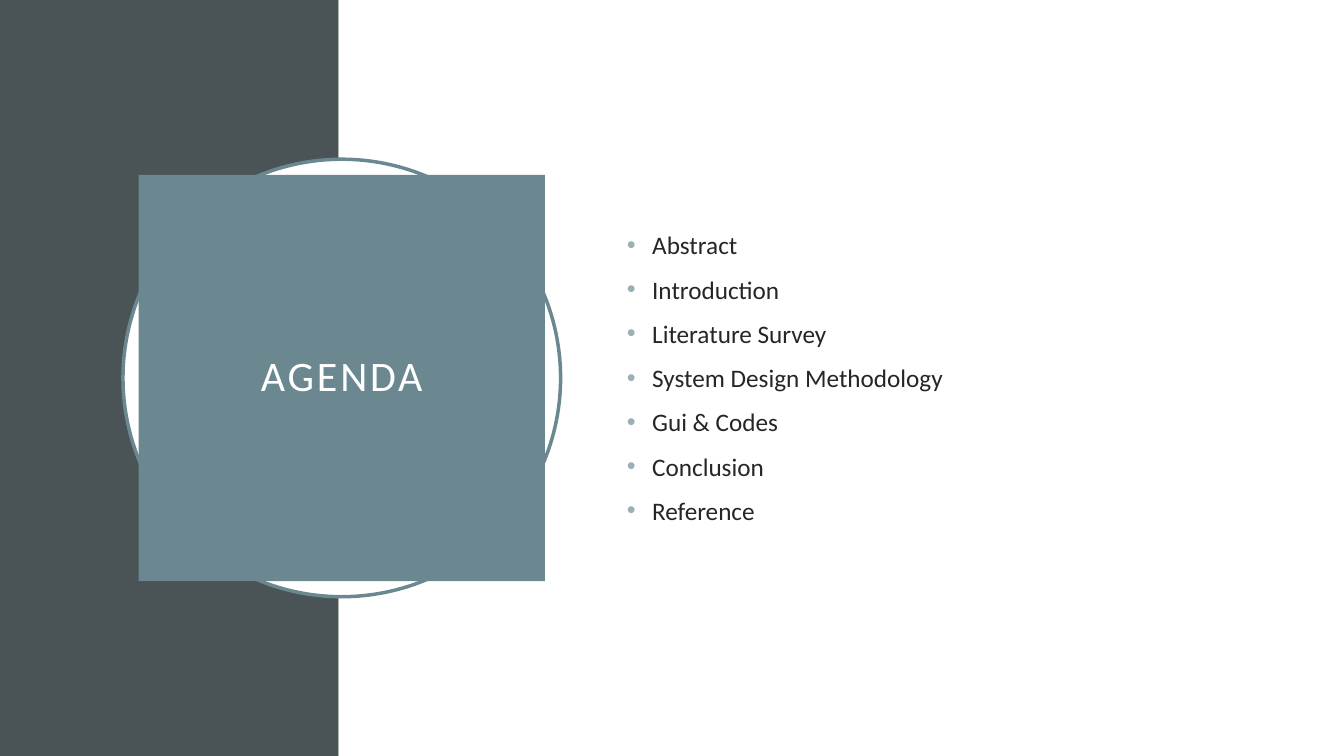
from lxml.etree import SubElement
from pptx import Presentation
from pptx.dml.color import RGBColor
from pptx.enum.shapes import MSO_SHAPE as Shape
from pptx.enum.text import MSO_ANCHOR as Anchor, PP_ALIGN as Align
from pptx.oxml.ns import qn
from pptx.util import Inches, Pt

# Content
TITLE = "AGENDA"
TOPICS = [
    "Abstract",
    "Introduction",
    "Literature Survey",
    "System Design Methodology",
    "Gui & Codes",
    "Conclusion",
    "Reference",
]

THEME = {
    "font": "Calibri",
    "band": "4A5356",
    "accent": "6B8891",
    "bullet": "9BAFB5",
    "ink": "262626",
    "white": "FFFFFF",
    "title_pt": 30,
    "body_pt": 18,
}

# Layout in inches
SLIDE_W, SLIDE_H = 13.33, 7.5
BAND_W = 3.36
CENTER_X, CENTER_Y = 3.39, SLIDE_H / 2
RING, SQUARE = 4.34, 4.03
LIST_BOX = (6.12, 1.53, 5.82, 4.43)
INDENT = 0.25


def rgb(name):
    return RGBColor.from_string(THEME[name])


def add_block(slide, kind, box, fill, line=None):
    sp = slide.shapes.add_shape(kind, *map(Inches, box))
    sp.shadow.inherit = False
    sp.fill.solid()
    sp.fill.fore_color.rgb = rgb(fill)
    if line:
        sp.line.color.rgb = rgb(line)
        sp.line.width = Pt(2.5)
    else:
        sp.line.fill.background()
    return sp


def centered(size):
    return CENTER_X - size / 2, CENTER_Y - size / 2, size, size


def add_run(p, text, size, color):
    r = p.add_run()
    r.text = text
    font = {"name": THEME["font"], "size": Pt(THEME[size])}
    for key, value in font.items():
        setattr(r.font, key, value)
    r.font.color.rgb = rgb(color)
    return r


def add_bullet(p):
    pPr = p._p.get_or_add_pPr()
    pPr.set("marL", str(Inches(INDENT)))
    pPr.set("indent", str(-Inches(INDENT)))
    color = SubElement(pPr, qn("a:buClr"))
    SubElement(color, qn("a:srgbClr"), val=THEME["bullet"])
    SubElement(pPr, qn("a:buFont"), typeface="Arial")
    SubElement(pPr, qn("a:buChar"), char="•")


def main():
    prs = Presentation()
    prs.slide_width, prs.slide_height = Inches(SLIDE_W), Inches(SLIDE_H)
    slide = prs.slides.add_slide(prs.slide_layouts[6])

    # Background halves and ring
    add_block(slide, Shape.RECTANGLE, (0, 0, BAND_W, SLIDE_H), "band")
    add_block(slide, Shape.RECTANGLE,
              (BAND_W, 0, SLIDE_W - BAND_W, SLIDE_H), "white")
    add_block(slide, Shape.OVAL, centered(RING), "white", "accent")

    # Title square
    square = add_block(slide, Shape.RECTANGLE, centered(SQUARE), "accent")
    tf = square.text_frame
    tf.word_wrap = True
    tf.vertical_anchor = Anchor.MIDDLE
    for side in ("left", "top", "right", "bottom"):
        setattr(tf, f"margin_{side}", Inches(0.2))
    p = tf.paragraphs[0]
    p.alignment = Align.CENTER
    p.line_spacing = 0.9
    r = add_run(p, TITLE, "title_pt", "white")
    r.font._element.set("spc", "200")

    # Topic list
    tf = slide.shapes.add_textbox(*map(Inches, LIST_BOX)).text_frame
    tf.word_wrap = True
    tf.vertical_anchor = Anchor.MIDDLE
    for i, topic in enumerate(TOPICS):
        p = tf.add_paragraph() if i else tf.paragraphs[0]
        p.space_before = Pt(10)
        add_bullet(p)
        add_run(p, topic, "body_pt", "ink")

    prs.save("out.pptx")


if __name__ == "__main__":
    main()
